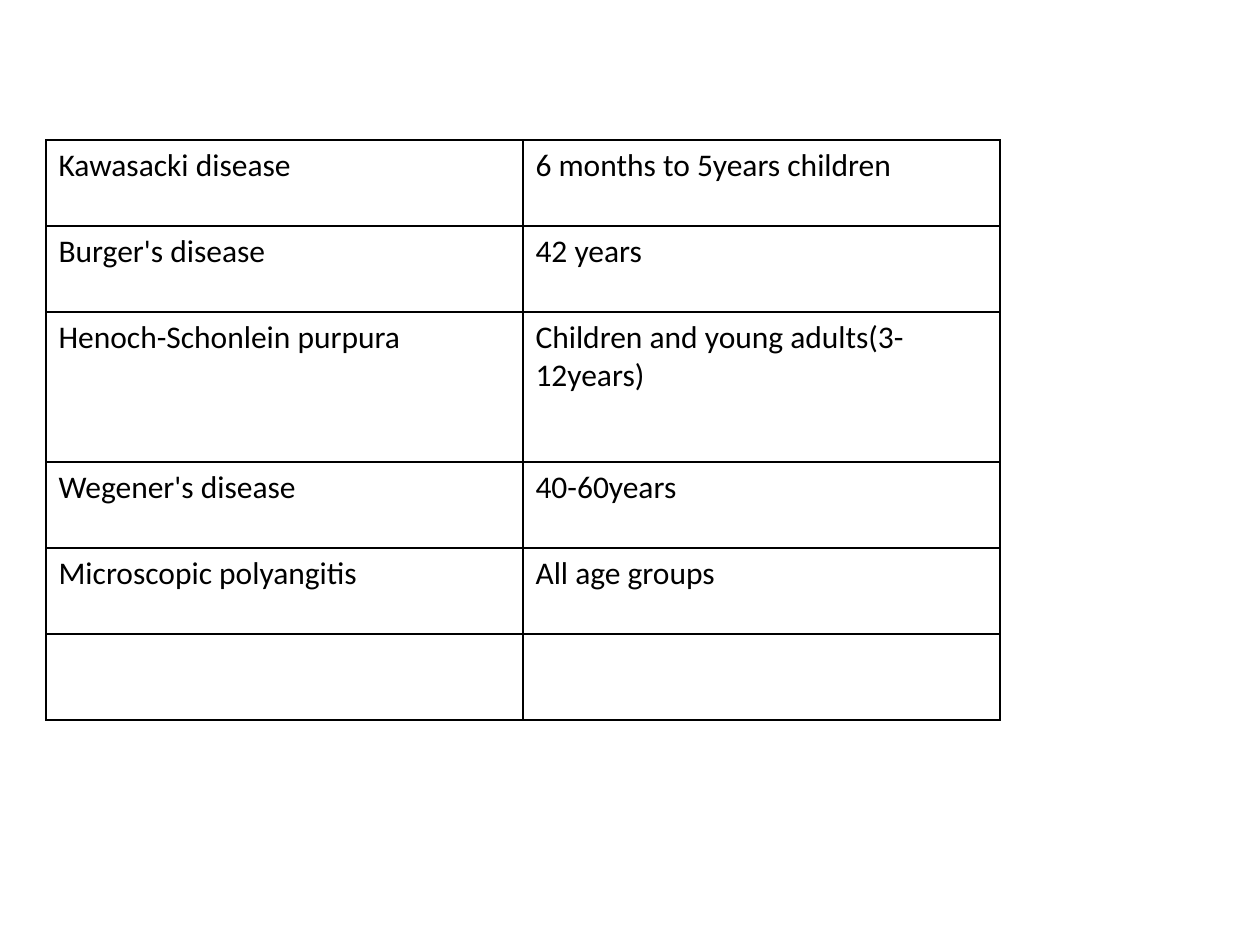
from pptx import Presentation
from pptx.dml.color import RGBColor
from pptx.oxml import parse_xml
from pptx.oxml.ns import nsdecls
from pptx.util import Pt

ROWS = [
    ("Kawasacki disease", "6 months to 5years children", 86),
    ("Burger's disease", "42 years", 86),
    ("Henoch-Schonlein purpura", "Children and young adults(3-12years)", 150),
    ("Wegener's disease", "40-60years", 86),
    ("Microscopic polyangitis", "All age groups", 86),
    ("", "", 86),
]
LEFT, TOP, WIDE = 46, 140, 477
BLACK = "000000"


def px(n):
    return round(n * 914400 / 126)


def color(code):
    return RGBColor.from_string(code)


def write(cell, text, size=18, font="Calibri", ink=BLACK):
    if not text:
        return
    run = cell.text_frame.paragraphs[0].add_run()
    run.text = text
    run.font.size = Pt(size)
    run.font.name = font
    run.font.color.rgb = color(ink)


def border(cell, ink=BLACK, width=1):
    props = cell._tc.get_or_add_tcPr()
    for i, side in enumerate(("lnL", "lnR", "lnT", "lnB")):
        props.insert(i, parse_xml(
            f'<a:{side} {nsdecls("a")} w="{Pt(width)}"><a:solidFill>'
            f'<a:srgbClr val="{ink}"/></a:solidFill></a:{side}>'))


def main():
    deck = Presentation()
    deck.slide_width, deck.slide_height = px(1260), px(945)
    slide = deck.slides.add_slide(deck.slide_layouts[6])
    tall = sum(row[2] for row in ROWS)
    table = slide.shapes.add_table(
        len(ROWS), 2, px(LEFT), px(TOP), px(2 * WIDE), px(tall)).table
    table.first_row = table.horz_banding = False
    for col in table.columns:
        col.width = px(WIDE)
    for r, (*texts, high) in enumerate(ROWS):
        table.rows[r].height = px(high)
        for c, text in enumerate(texts):
            cell = table.cell(r, c)
            cell.fill.background()
            border(cell)
            write(cell, text)
    deck.save("out.pptx")


if __name__ == "__main__":
    main()
